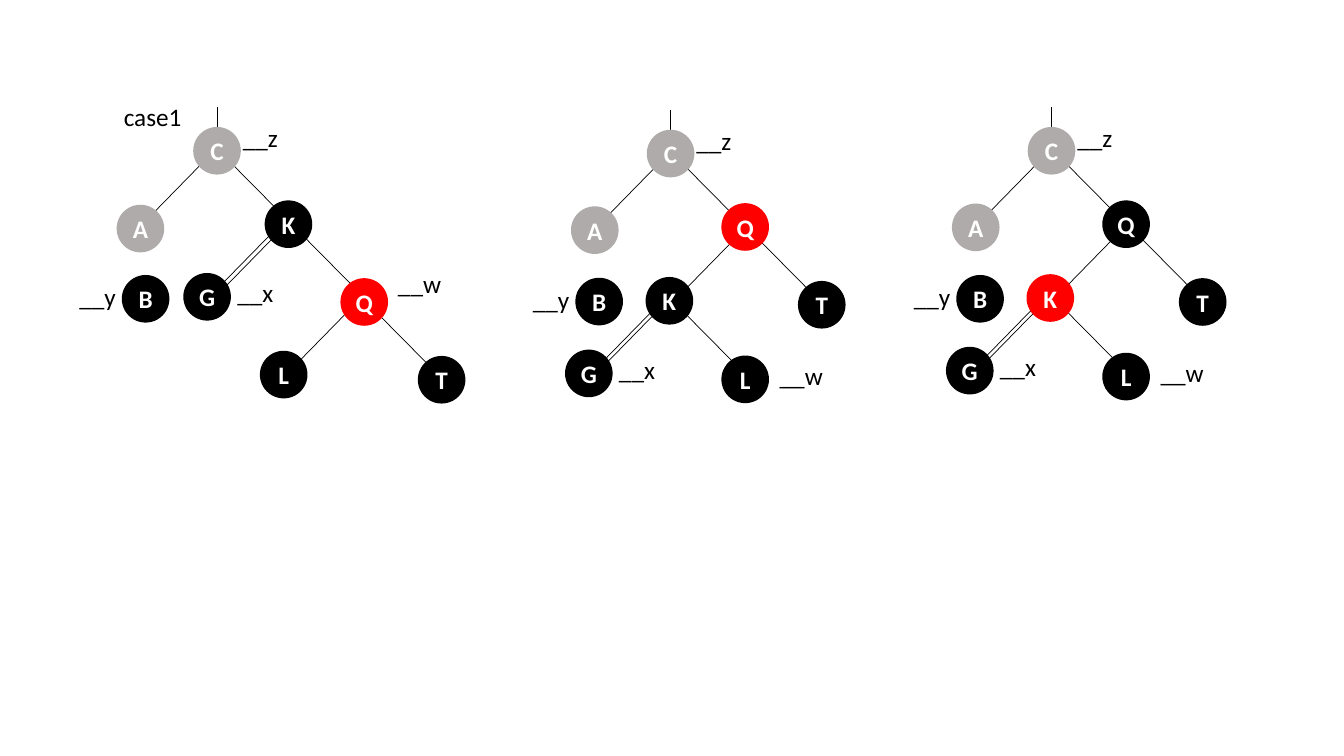
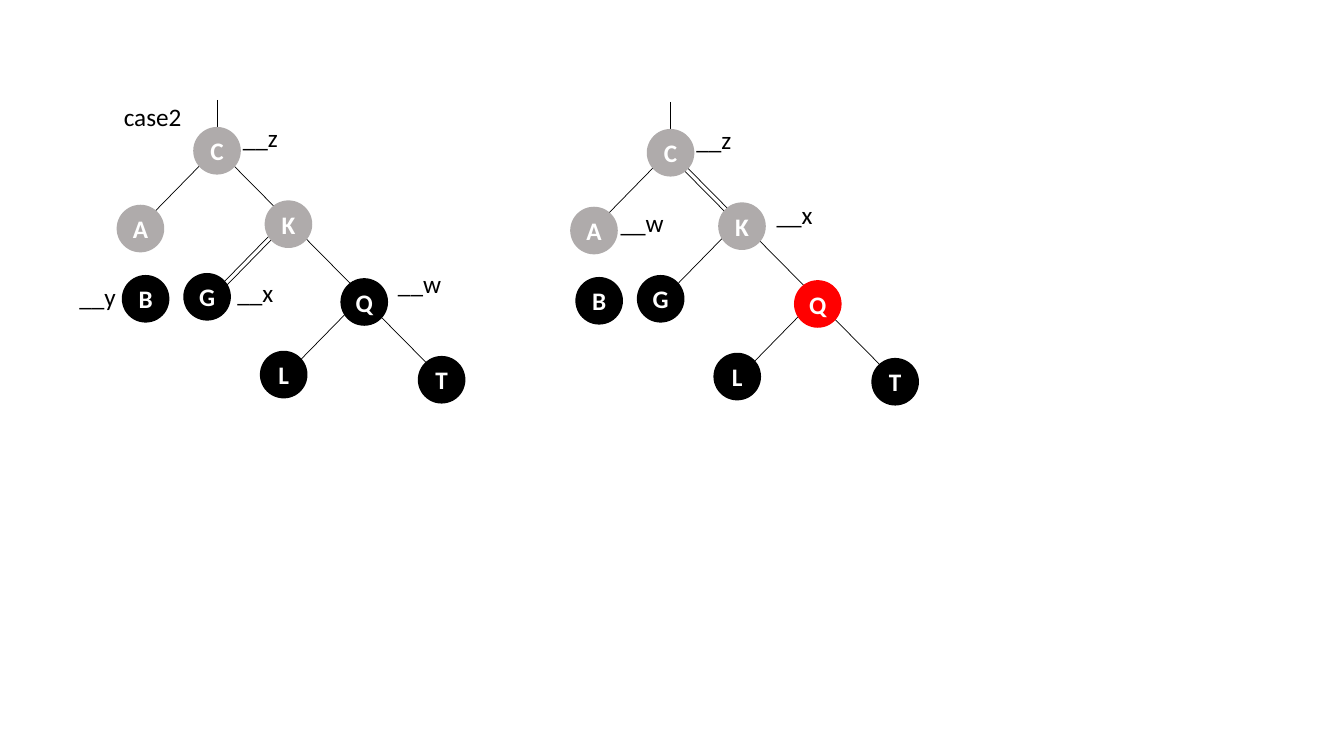
from collections import namedtuple

from lxml import etree
from pptx import Presentation
from pptx.dml.color import RGBColor
from pptx.enum.shapes import MSO_CONNECTOR, MSO_SHAPE
from pptx.enum.text import MSO_ANCHOR, MSO_AUTO_SIZE, PP_ALIGN
from pptx.oxml.ns import qn
from pptx.util import Cm, Pt

BLACK = "000000"
WHITE = "FFFFFF"
GREY = "AFABAB"
RED = "FF0000"
FONT = "Calibri"
TEXT_SIZE = 18
DIAMETER = 1.2
STEPS = {"left": (-1.84, 1.88), "right": (1.88, 1.9)}

# Node centres are in cm from the root; an edge is parent, side, sideways shift.
Layout = namedtuple("Layout", "nodes edges")
Tree = namedtuple("Tree", "layout root stem colours double labels")

K_ON_TOP = Layout(
    nodes={"C": (0, 0), "K": (1.8, 1.85), "B": (-1.8, 3.73), "A": (-1.93, 1.96),
           "G": (-0.25, 3.68), "Q": (3.71, 3.81), "L": (1.68, 5.64), "T": (5.66, 5.77)},
    edges=[("C", "left", -0.07), ("C", "right", 0.05),
           ("K", "left", -0.2), ("K", "right", 0.08),
           ("Q", "left", -0.18), ("Q", "right", 0.05)],
)
Q_ON_TOP = Layout(
    nodes={"C": (0, 0), "K": (-0.03, 3.71), "B": (-1.8, 3.73), "A": (-1.91, 1.93),
           "G": (-2.06, 5.54), "Q": (1.88, 1.85), "L": (1.88, 5.69), "T": (3.81, 3.81)},
    edges=[("C", "left", -0.05), ("C", "right", 0.05),
           ("Q", "left", 0.03), ("Q", "right", 0.03),
           ("K", "left", -0.18), ("K", "right", 0.08)],
)

# A label is its text, the node it marks, and its offset from that node.
Z_AT_C = ("__z", "C", 0.4, -0.83)
X_AT_G = ("__x", "G", 0.51, -0.61)
X_AT_K = ("__x", "K", 0.62, -0.8)
Y_AT_B = ("__y", "B", -1.92, -0.57)
W_AT_Q = ("__w", "Q", 0.6, -0.98)
W_AT_L = ("__w", "L", 0.62, -0.6)
W_AT_A = ("__w", "A", 0.42, -0.7)

DOUBLE_KG = ("K", "left", -0.05)
DOUBLE_CK = ("C", "right", -0.1)
GREY_TOP = {"C": GREY, "A": GREY}

SLIDES = [
    ("case1", [
        Tree(K_ON_TOP, (5.47, 3.8), 1.1, {**GREY_TOP, "Q": RED}, DOUBLE_KG,
             [Z_AT_C, X_AT_G, Y_AT_B, W_AT_Q]),
        Tree(Q_ON_TOP, (16.9, 3.87), 1.1, {**GREY_TOP, "Q": RED}, DOUBLE_KG,
             [Z_AT_C, X_AT_G, Y_AT_B, W_AT_L]),
        Tree(Q_ON_TOP, (26.5, 3.8), 1.1, {**GREY_TOP, "K": RED}, DOUBLE_KG,
             [Z_AT_C, X_AT_G, Y_AT_B, W_AT_L]),
    ]),
    ("case2", [
        Tree(K_ON_TOP, (5.47, 3.8), 1.28, {**GREY_TOP, "K": GREY}, DOUBLE_KG,
             [Z_AT_C, X_AT_G, Y_AT_B, W_AT_Q]),
        Tree(K_ON_TOP, (16.9, 3.85), 1.28, {**GREY_TOP, "K": GREY, "Q": RED}, DOUBLE_CK,
             [Z_AT_C, X_AT_K, W_AT_A]),
    ]),
]


def colour(hex_string):
    return RGBColor.from_string(hex_string)


def style_text(paragraph, text, text_colour, bold=False):
    paragraph.text = text
    font = paragraph.font
    font.name = FONT
    font.size = Pt(TEXT_SIZE)
    font.bold = bold
    font.color.rgb = colour(text_colour)


def add_line(slide, x, y, dx, dy):
    line = slide.shapes.add_connector(
        MSO_CONNECTOR.STRAIGHT, Cm(x), Cm(y), Cm(x + dx), Cm(y + dy))
    line.line.color.rgb = colour(BLACK)
    line.line.width = Pt(0.5)
    etree.SubElement(line._element.spPr, qn("a:effectLst"))


def add_node(slide, name, x, y, fill):
    """Draw a disc centred on x, y."""
    radius = DIAMETER / 2
    disc = slide.shapes.add_shape(
        MSO_SHAPE.OVAL, Cm(x - radius), Cm(y - radius), Cm(DIAMETER), Cm(DIAMETER))
    disc.shadow.inherit = False
    disc.fill.solid()
    disc.fill.fore_color.rgb = colour(fill)
    disc.line.fill.background()
    frame = disc.text_frame
    frame.margin_left = frame.margin_right = frame.margin_top = frame.margin_bottom = 0
    frame.vertical_anchor = MSO_ANCHOR.MIDDLE
    paragraph = frame.paragraphs[0]
    paragraph.alignment = PP_ALIGN.CENTER
    style_text(paragraph, name, WHITE, bold=True)


def add_label(slide, text, x, y, width=1.68):
    frame = slide.shapes.add_textbox(Cm(x), Cm(y), Cm(width), Cm(1.02)).text_frame
    frame.word_wrap = True
    frame.auto_size = MSO_AUTO_SIZE.SHAPE_TO_FIT_TEXT
    style_text(frame.paragraphs[0], text, BLACK)


def add_tree(slide, tree):
    root_x, root_y = tree.root
    centres = {name: (root_x + x, root_y + y) for name, (x, y) in tree.layout.nodes.items()}
    add_line(slide, root_x, root_y - tree.stem, 0, tree.stem)
    for parent, side, shift in tree.layout.edges + [tree.double]:
        x, y = centres[parent]
        add_line(slide, x + shift, y, *STEPS[side])
    for name, (x, y) in centres.items():
        add_node(slide, name, x, y, tree.colours.get(name, BLACK))
    for text, name, dx, dy in tree.labels:
        x, y = centres[name]
        add_label(slide, text, x + dx, y + dy)


def main():
    presentation = Presentation()
    presentation.slide_width = Cm(33.87)
    presentation.slide_height = Cm(19.05)
    for case, trees in SLIDES:
        slide = presentation.slides.add_slide(presentation.slide_layouts[6])
        for tree in trees:
            add_tree(slide, tree)
        add_label(slide, case, 2.87, 2.44, width=3.23)
    presentation.save("out.pptx")


if __name__ == "__main__":
    main()
